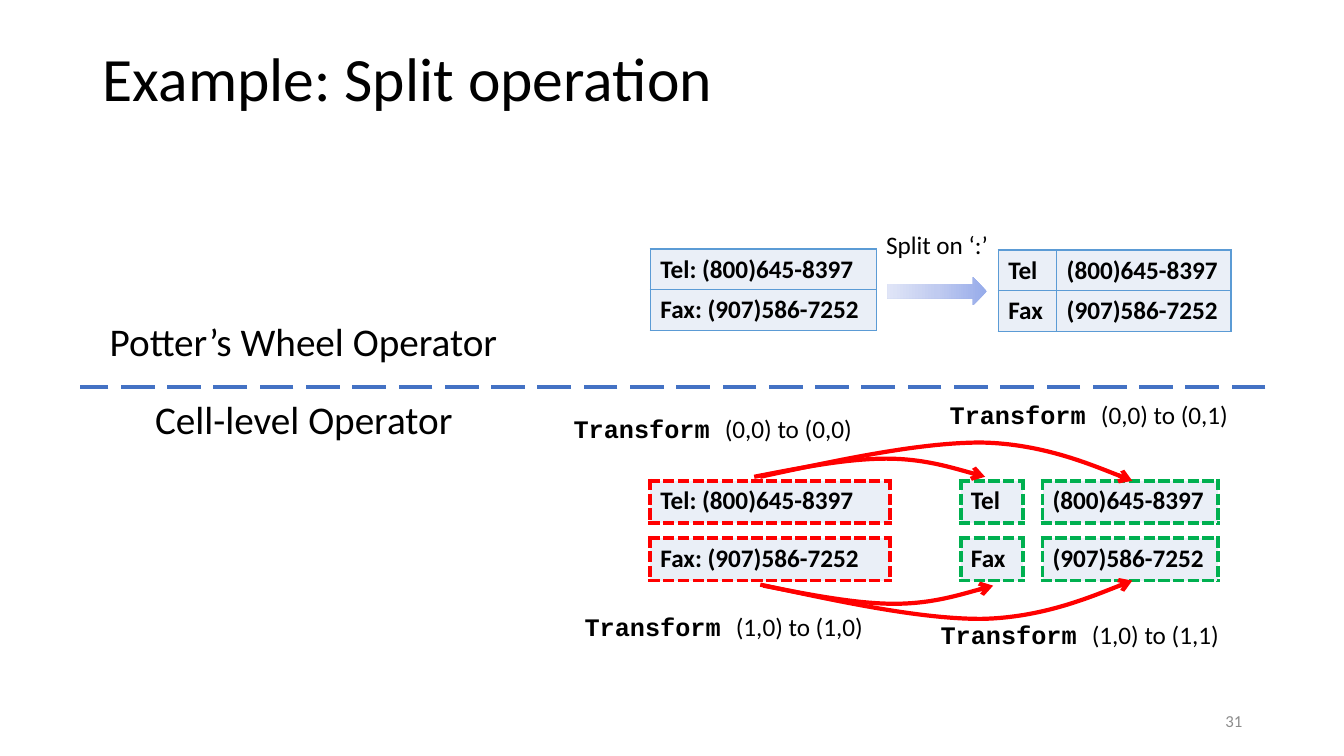
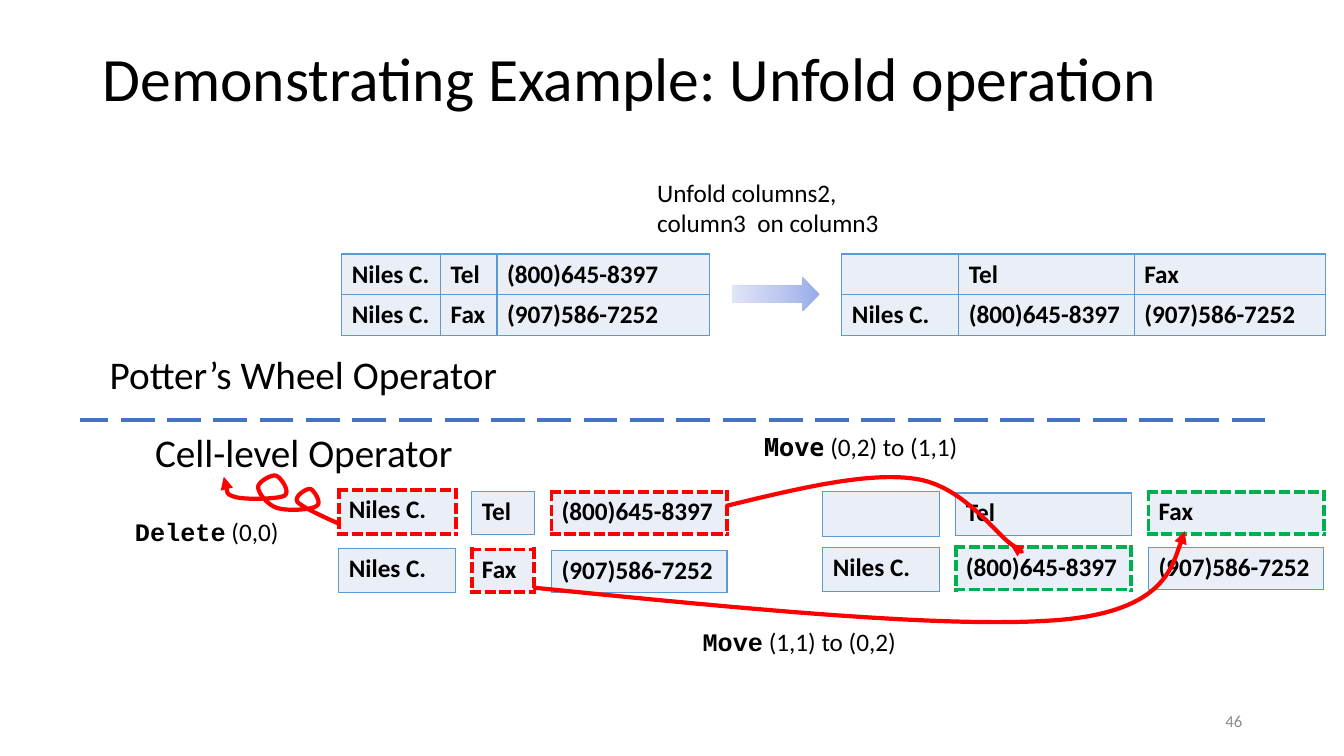
from copy import deepcopy

from lxml import etree
from pptx import Presentation
from pptx.dml.color import RGBColor
from pptx.enum import dml, shapes, text
from pptx.oxml import parse_xml
from pptx.oxml import ns
from pptx.util import Inches, Pt

BLACK = RGBColor(0, 0, 0)
GRAY = RGBColor(0x8C, 0x8C, 0x8C)
BLUE = RGBColor(0x44, 0x72, 0xC4)
EDGE = RGBColor(0x5B, 0x9B, 0xD5)
PALE = RGBColor(0xEA, 0xEF, 0xF7)
RED = RGBColor(0xFF, 0, 0)
GREEN = RGBColor(0, 0xB0, 0x50)
FADE = [(0, RGBColor(0x96, 0xAB, 0xEA)), (0.5, RGBColor(0xC0, 0xCB, 0xF0)),
        (1, RGBColor(0xE0, 0xE5, 0xF7))]
SANS, MONO, NOTO = "Calibri", "Courier New", "Noto Sans Mono"
TEL, FAX = "(800)645-8397", "(907)586-7252"
NAME = "Niles C."
HIGH = 0.81  # height of a two-row table

# Content: cells are columns of left, width, height and (top, words, edge);
# curves are a start point, then three points per Bezier piece
SPLIT = dict(
    title="Example: Split operation", number="31", rule=3.84,
    tables=[
        (6.45, 2.47, [2.24], [["Tel: " + TEL], ["Fax: " + FAX]]),
        (9.9, 2.48, [0.58, 1.73], [["Tel", TEL], ["Fax", FAX]]),
    ],
    arrow=(8.8, 2.75, 0.99, 0.28),
    cells=[
        (6.45, 2.38, 0.42,
         [(4.77, "Tel: " + TEL, RED), (5.34, "Fax: " + FAX, RED)]),
        (9.53, 0.62, 0.42, [(4.77, "Tel", GREEN), (5.34, "Fax", GREEN)]),
        (10.34, 1.74, 0.42, [(4.77, TEL, GREEN), (5.34, FAX, GREEN)]),
    ],
    labels=[
        (8.69, 2.23, 1.54, 0.4, [("Split on ‘:’", SANS)]),
        (5.59, 4.05, 3.1, 0.4, [("Transform ", MONO), ("(0,0) to (0,0)", SANS)]),
        (9.32, 3.91, 4.01, 0.4, [("Transform ", MONO), ("(0,0) to (0,1)", SANS)]),
        (5.7, 6.02, 3.1, 0.4, [("Transform ", MONO), ("(1,0) to (1,0)", SANS)]),
        (9.23, 6.09, 4.01, 0.4, [("Transform ", MONO), ("(1,0) to (1,1)", SANS)]),
    ],
    head="arrow",
    curves=[
        [(7.48, 4.73), (7.94, 4.64), (8.4, 4.55), (8.79, 4.55),
         (9.17, 4.55), (9.77, 4.73), (9.77, 4.73)],
        [(7.54, 4.73), (8.33, 4.56), (9.12, 4.39), (9.73, 4.39),
         (10.35, 4.4), (11.23, 4.77), (11.23, 4.77)],
        [(7.57, 5.81), (8.03, 5.9), (8.49, 5.99), (8.87, 5.99),
         (9.25, 5.99), (9.85, 5.81), (9.85, 5.81)],
        [(7.54, 5.8), (8.33, 5.97), (9.12, 6.14), (9.73, 6.14),
         (10.35, 6.13), (11.23, 5.76), (11.23, 5.76)],
    ],
)
UNFOLD = dict(
    title="Demonstrating Example: Unfold operation", number="46", rule=4.17,
    tables=[
        (3.39, 2.52, [0.98, 0.56, 2.11],
         [[NAME, "Tel", TEL], [NAME, "Fax", FAX]]),
        (8.35, 2.52, [1.16, 1.74, 1.9],
         [["", "Tel", "Fax"], [NAME, TEL, FAX]]),
    ],
    arrow=(7.26, 2.75, 0.87, 0.34),
    cells=[
        (3.36, 1.16, 0.44, [(4.86, NAME, RED), (5.44, NAME, EDGE)]),
        (4.68, 0.62, 0.42, [(4.88, "Tel", EDGE), (5.45, "Fax", RED)]),
        (5.47, 1.74, 0.42, [(4.88, TEL, RED), (5.46, FAX, EDGE)]),
        (8.16, 1.16, 0.44, [(4.88, "", EDGE), (5.43, NAME, EDGE)]),
        (9.48, 1.74, 0.42, [(4.89, "Tel", EDGE), (5.43, TEL, GREEN)]),
        (11.39, 1.74, 0.42, [(4.88, "Fax", GREEN), (5.43, FAX, EDGE)]),
    ],
    labels=[
        (6.42, 1.71, 2.54, 0.71, [("Unfold columns2, column3  on column3", SANS)]),
        (6.87, 6.16, 2.61, 0.4, [("Move", MONO), (" (1,1) to (0,2)", SANS)]),
        (7.48, 4.23, 2.35, 0.4, [("Move", NOTO), (" (0,2) to (1,1)", SANS)]),
        (1.24, 5.07, 2.22, 0.4, [("Delete", MONO), (" (0,0)", SANS)]),
    ],
    head="triangle",
    curves=[
        [(7.2, 5.02), (7.9, 4.85), (8.6, 4.68), (9.07, 4.75),
         (9.54, 4.81), (9.87, 5.29), (10.03, 5.4),
         (10.19, 5.51), (10.1, 5.46), (10.02, 5.4)],
        [(5.29, 5.83), (7.36, 6.04), (9.43, 6.24), (10.51, 6.15),
         (11.58, 6.06), (11.75, 5.27), (11.75, 5.27)],
        [(3.35, 5.19), (3.17, 5.11), (3, 5.03), (2.95, 4.98),
         (2.91, 4.92), (3.05, 4.84), (3.08, 4.85),
         (3.11, 4.86), (3.2, 4.99), (3.14, 5.02),
         (3.09, 5.06), (2.84, 5.07), (2.75, 5.04),
         (2.65, 5.01), (2.56, 4.89), (2.56, 4.83),
         (2.56, 4.78), (2.7, 4.7), (2.74, 4.72),
         (2.78, 4.73), (2.89, 4.88), (2.82, 4.92),
         (2.75, 4.95), (2.43, 4.96), (2.33, 4.93),
         (2.23, 4.9), (2.22, 4.73), (2.22, 4.73)],
    ],
)


def write(frame, runs, size=18, bold=False, color=BLACK,
          align=text.PP_ALIGN.LEFT, anchor=text.MSO_ANCHOR.TOP, space=1.0):
    """Fill a frame with (text, font) runs; mono runs are bold."""
    frame.word_wrap = True
    frame.vertical_anchor = anchor
    para = frame.paragraphs[0]
    para.alignment, para.line_spacing = align, space
    for words, face in runs:
        run = para.add_run()
        run.text = words
        font = run.font
        font.name, font.size = face, Pt(size)
        font.bold = bold or face != SANS
        font.color.rgb = color


def label(slide, x, y, w, h, runs, **form):
    box = slide.shapes.add_textbox(*map(Inches, (x, y, w, h)))
    write(box.text_frame, runs, **form)


def border(cell, color):
    """Thin solid edges for plain cells, thick dashes for marked ones."""
    width, dash = (Pt(1), "solid") if color == EDGE else (Pt(3), "sysDash")
    props = cell._tc.get_or_add_tcPr()
    for i, side in enumerate("LRTB"):
        props.insert(i, parse_xml(
            f'<a:ln{side} {ns.nsdecls("a")} w="{width}"><a:solidFill>'
            f'<a:srgbClr val="{color}"/></a:solidFill>'
            f'<a:prstDash val="{dash}"/></a:ln{side}>'))


def grid(slide, x, y, widths, rows, color=EDGE, high=HIGH):
    table = slide.shapes.add_table(
        len(rows), len(widths),
        *map(Inches, (x, y, sum(widths), high))).table
    table.first_row = table.horz_banding = False
    for col, wide in zip(table.columns, widths):
        col.width = Inches(wide)
    for r, row in enumerate(rows):
        for c, words in enumerate(row):
            cell = table.cell(r, c)
            cell.fill.solid()
            cell.fill.fore_color.rgb = PALE
            border(cell, color)
            if words:
                write(cell.text_frame, [(words, SANS)], bold=True)


def curve(slide, points, head):
    """Draw the outline, then bend each three points into one Bezier piece."""
    start, *rest = [tuple(map(Inches, p)) for p in points]
    pen = slide.shapes.build_freeform(*start, scale=1.0)
    pen.add_line_segments(rest, close=False)
    path = pen.convert_to_shape()
    steps = list(path._element.iter(ns.qn("a:lnTo")))
    for i in range(0, len(steps), 3):
        bend = etree.Element(ns.qn("a:cubicBezTo"))
        steps[i].addprevious(bend)
        for step in steps[i:i + 3]:
            bend.append(step[0])
            step.getparent().remove(step)
    path.shadow.inherit = False
    path.fill.background()
    path.line.color.rgb = RED
    path.line.width = Pt(3)
    line = path.line._get_or_add_ln()
    etree.SubElement(line, ns.qn("a:tailEnd"), type=head)


def point(slide, spot):
    """Block arrow that fades out to the left."""
    arrow = slide.shapes.add_shape(
        shapes.MSO_SHAPE.RIGHT_ARROW, *map(Inches, spot))
    arrow.shadow.inherit = False
    arrow.line.fill.background()
    arrow.fill.gradient()
    arrow.fill.gradient_angle = 180
    first = arrow._element.spPr.find(".//" + ns.qn("a:gs"))
    first.addnext(deepcopy(first))
    for stop, (place, color) in zip(arrow.fill.gradient_stops, FADE):
        stop.position = place
        stop.color.rgb = color


def frame(slide, data):
    """Title, page number, dashed rule and the two section names."""
    middle = text.MSO_ANCHOR.MIDDLE
    title = slide.shapes.title
    title.left, title.top, title.width, title.height = map(
        Inches, (0.92, 0.4, 11.5, 0.81))
    write(title.text_frame, [(data["title"], SANS)], size=44,
          anchor=middle, space=0.9)
    label(slide, 9.42, 6.95, 3, 0.4, [(data["number"], SANS)], size=12,
          color=GRAY, align=text.PP_ALIGN.RIGHT, anchor=middle)
    y = data["rule"]
    rule = slide.shapes.add_connector(
        shapes.MSO_CONNECTOR.STRAIGHT, *map(Inches, (12.55, y, 0.79, y)))
    rule.line.color.rgb = BLUE
    rule.line.width = Pt(3)
    rule.line.dash_style = dml.MSO_LINE.LONG_DASH
    etree.SubElement(rule._element.spPr, ns.qn("a:effectLst"))
    for x, gap, w, words in [(0.99, -0.74, 4.23, "Potter’s Wheel Operator"),
                             (1.44, 0.03, 3.34, "Cell-level Operator")]:
        label(slide, x, y + gap, w, 0.57, [(words, SANS)], size=28)


def build(deck, data):
    slide = deck.slides.add_slide(deck.slide_layouts[5])
    frame(slide, data)
    # Tables before and after, with the arrow between
    for spot in data["tables"]:
        grid(slide, *spot)
    point(slide, data["arrow"])
    # Single cells
    for x, w, h, stack in data["cells"]:
        for y, words, color in stack:
            grid(slide, x, y, [w], [[words]], color, h)
    # Labels and curved arrows
    for spot in data["labels"]:
        label(slide, *spot)
    for points in data["curves"]:
        curve(slide, points, data["head"])


def main():
    deck = Presentation()
    deck.slide_width, deck.slide_height = Inches(13.33), Inches(7.5)
    for data in (SPLIT, UNFOLD):
        build(deck, data)
    deck.save("out.pptx")


if __name__ == "__main__":
    main()
